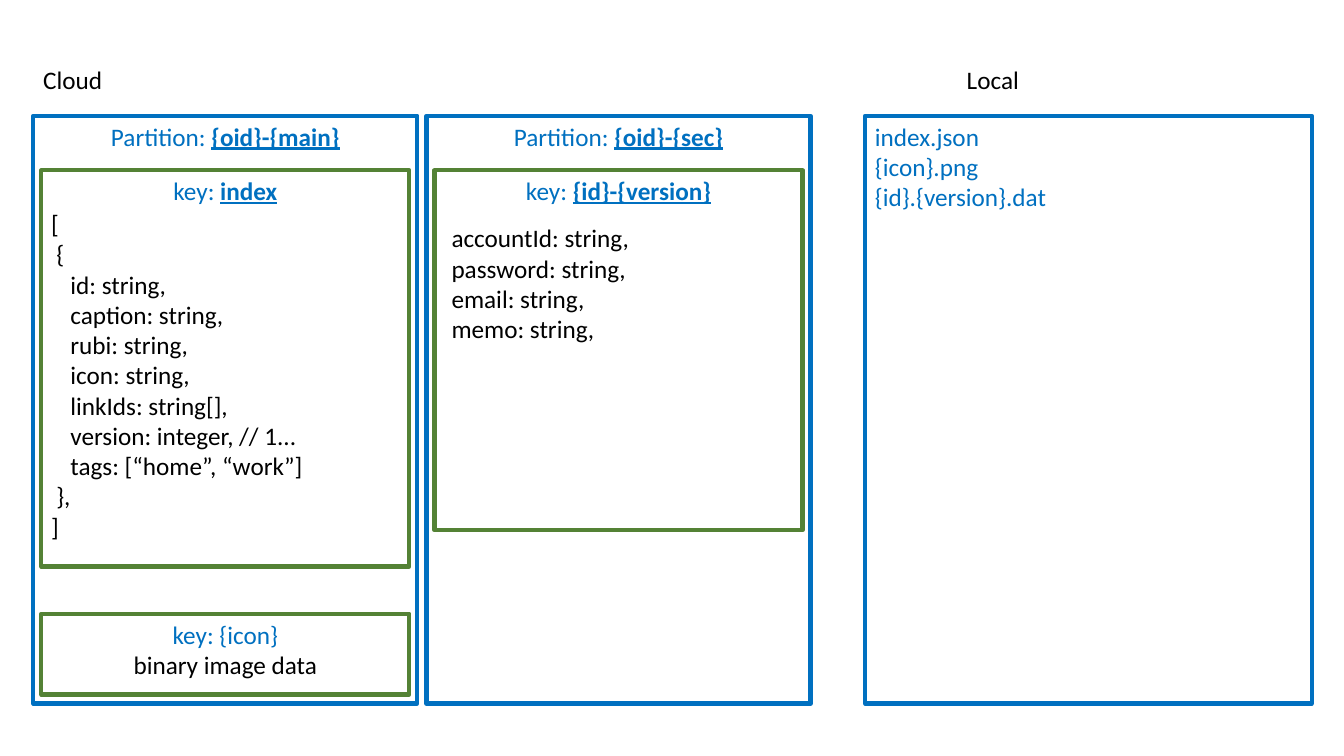
import dataclasses
import pptx
import pptx.util
import pptx.dml.color
import pptx.enum.shapes
import pptx.enum.text

Inches = pptx.util.Inches
ALIGN = pptx.enum.text.PP_ALIGN


@dataclasses.dataclass(frozen=True)
class Theme:
    font: str = "Calibri"
    size: int = 18
    line_width: int = 3
    blue: str = "0070C0"
    green: str = "548235"
    black: str = "000000"


THEME = Theme()


def rgb(color):
    return pptx.dml.color.RGBColor.from_string(color)


def format_run(r, color, emphasis=False):
    r.font.name = THEME.font
    r.font.size = pptx.util.Pt(THEME.size)
    r.font.color.rgb = rgb(color)
    if emphasis:
        r.font.bold = True
        r.font.underline = True


def format_paragraph(p, color, align=ALIGN.LEFT):
    p.alignment = align
    for r in p.runs:
        format_run(r, color)


def add_box(s, left, top, width, height, line):
    sp = s.shapes.add_shape(pptx.enum.shapes.MSO_SHAPE.RECTANGLE,
                            Inches(left), Inches(top), Inches(width), Inches(height))
    sp.shadow.inherit = False
    sp.fill.background()
    sp.line.color.rgb = rgb(line)
    sp.line.width = pptx.util.Pt(THEME.line_width)
    sp.text_frame.vertical_anchor = pptx.enum.text.MSO_ANCHOR.TOP
    return sp


def add_keyed_box(s, left, top, width, height, line, label, key):
    sp = add_box(s, left, top, width, height, line)
    p = sp.text_frame.paragraphs[0]
    p.text = label + " "
    format_paragraph(p, THEME.blue, ALIGN.CENTER)
    r = p.add_run()
    r.text = key
    format_run(r, THEME.blue, emphasis=True)


def add_text(s, left, top, width, height, lines, indents=None):
    sp = s.shapes.add_textbox(Inches(left), Inches(top), Inches(width), Inches(height))
    tf = sp.text_frame
    tf.text = "\n".join(lines)
    tf.word_wrap = False
    tf.auto_size = pptx.enum.text.MSO_AUTO_SIZE.SHAPE_TO_FIT_TEXT
    for i, p in enumerate(tf.paragraphs):
        format_paragraph(p, THEME.black)
        if indents:
            p._p.get_or_add_pPr().set("marL", str(Inches(indents[i])))


def add_local(s, top, height):
    add_text(s, 9.49, 0.59, 0.73, 0.4, ["Local"])
    sp = add_box(s, 8.58, top, 4.43, height, THEME.blue)
    sp.text_frame.text = "index.json\n{icon}.png\n{id}.{version}.dat"
    for p in sp.text_frame.paragraphs:
        format_paragraph(p, THEME.blue)


def add_icon_box(s, left):
    sp = add_box(s, left, 6.09, 3.65, 0.8, THEME.green)
    sp.text_frame.text = "key: {icon}\nbinary image data"
    for p, color in zip(sp.text_frame.paragraphs, (THEME.blue, THEME.black)):
        format_paragraph(p, color, ALIGN.CENTER)


def main():
    prs = pptx.Presentation()
    prs.slide_width = Inches(13.33)
    prs.slide_height = Inches(7.5)
    s = prs.slides.add_slide(prs.slide_layouts[6])

    top, height = 1.15, 5.83
    partitions = [
        (0.33, "{oid}-{main}", "index", 3.93),
        (4.23, "{oid}-{sec}", "{id}-{version}", 3.57),
    ]
    add_local(s, top, height)
    add_text(s, 0.33, 0.59, 0.79, 0.4, ["Cloud"])
    for left, partition, key, key_height in partitions:
        add_keyed_box(s, left, top, 3.81, height, THEME.blue, "Partition:", partition)
        add_keyed_box(s, left + 0.08, 1.69, 3.65, key_height, THEME.green, "key:", key)

    fields = ["id: string,", "caption: string,", "rubi: string,", "icon: string,",
              "linkIds: string[],", "version: integer, // 1...", "tags: [“home”, “work”]"]
    add_text(s, 0.41, 2.02, 2.71, 3.43, ["[", "{", *fields, "},", "]"],
             [0, 0.05, *[0.19] * len(fields), 0.05, 0])
    add_icon_box(s, 0.41)
    add_text(s, 4.38, 2.16, 1.98, 1.62,
             ["accountId: string,", "password: string,", "email: string,", "memo: string,"])
    prs.save("out.pptx")


if __name__ == "__main__":
    main()
